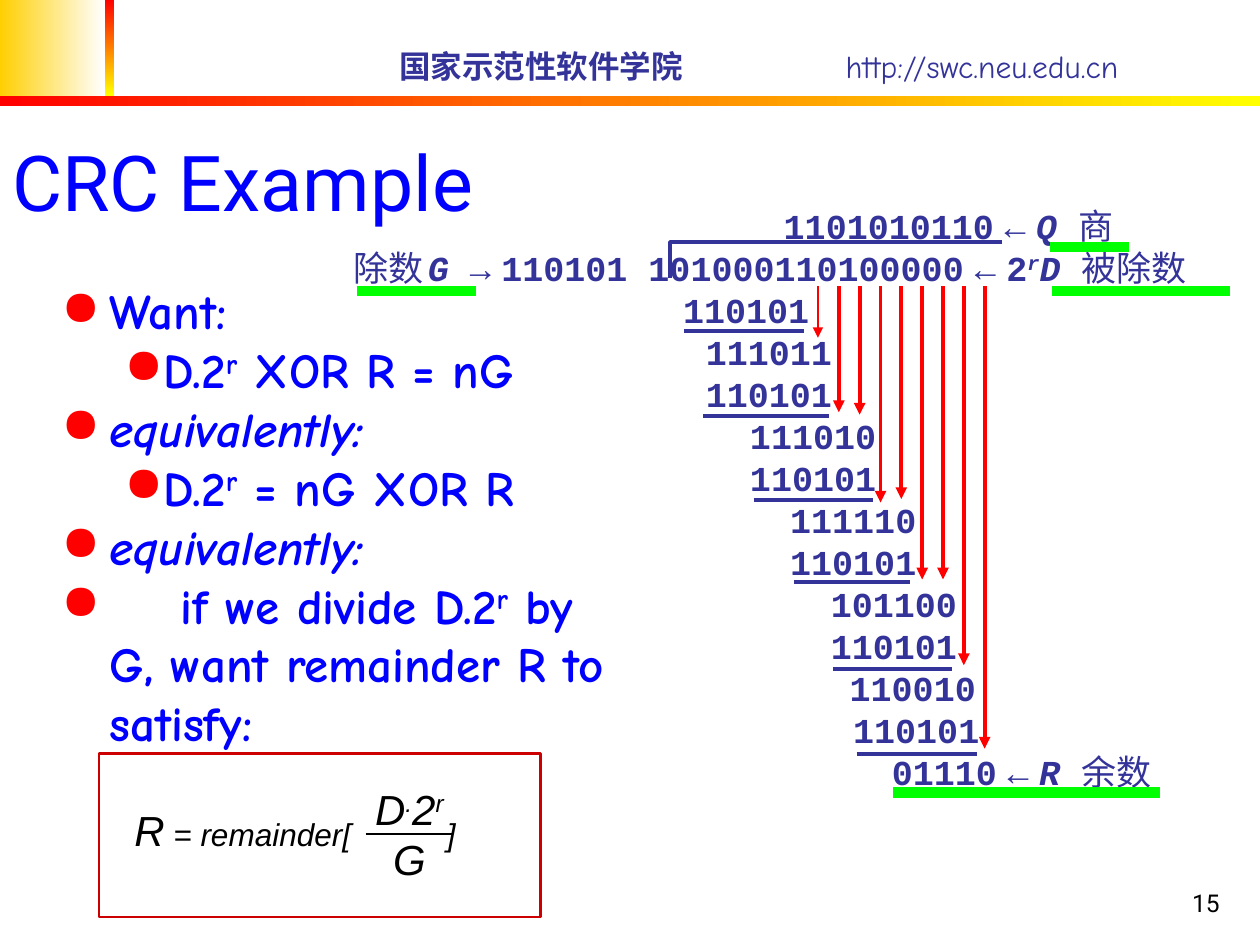
from lxml.etree import SubElement
from pptx import Presentation
from pptx.dml.color import RGBColor
from pptx.enum.shapes import MSO_CONNECTOR, MSO_SHAPE
from pptx.enum.text import MSO_ANCHOR, PP_ALIGN
from pptx.oxml.ns import qn
from pptx.util import Cm, Pt

NAVY, BLUE, RED, GREEN, BLACK = "333399", "0000FF", "FF0000", "00FF00", "000000"
YELLOW = "FFFF00"

DIVISION = [
    (8.87, [("1101010110", ""), (" ", "s"), ("←", ""), (" ", "s"), ("Q ", "i"), ("商", "n")]),
    (0.2, [("除数", "n"), (" ", "s"), ("G ", "i"), ("→", ""), (" ", "s"),
           ("110101 101000110100000", ""), (" ", "s"), ("←", ""), (" ", "s"),
           ("2", ""), ("r", "i^"), ("D ", "i"), ("被除数", "n")]),
    (6.84, [("110101", "")]),
    (7.3, [("111011", "")]),
    (7.3, [("110101", "")]),
    (8.19, [("111010", "")]),
    (8.19, [("110101", "")]),
    (9.0, [("111110", "")]),
    (9.0, [("110101", "")]),
    (9.82, [("101100", "")]),
    (9.82, [("110101", "")]),
    (10.2, [("110010", "")]),
    (10.27, [("110101", "")]),
    (11.05, [("01110", ""), (" ", "s"), ("←", ""), (" ", "s"), ("R ", "i"), ("余数", "n")]),
]
BULLETS = [
    (0, [("Want:", "")]),
    (1, [("D.2", ""), ("r", "^"), (" XOR R = nG", "")]),
    (0, [("equivalently:", "i")]),
    (1, [("D.2", ""), ("r", "^"), (" = nG XOR R", "")]),
    (0, [("equivalently:", "i")]),
    (0, [("\tif we divide D.2", ""), ("r", "^"),
         (" by G, want remainder R to satisfy:", "")]),
]
BRING_DOWN_ENDS = [6.81, 8.31, 8.36, 10.13, 10.06, 11.68, 11.68, 13.41, 15.09]
SUBTRACTION_RULES = [(13.79, 16.21, 6.68), (14.17, 16.71, 8.38), (15.19, 17.6, 10.08),
                     (16, 18.34, 11.73), (16.79, 19.2, 13.49), (17.27, 19.69, 15.2)]
HIGHLIGHTS = [(18.01, 23.39, 15.98), (21.21, 24.79, 5.87),
              (7.19, 9.6, 5.87), (21.16, 22.76, 4.98)]


def color(value):
    """Turn a hex string into a colour."""
    return RGBColor.from_string(value)


def add_box(page, left, top, width, height, anchor=MSO_ANCHOR.TOP):
    """Add a wrapping text box and return its text frame."""
    frame = page.shapes.add_textbox(Cm(left), Cm(top), Cm(width), Cm(height)).text_frame
    frame.word_wrap = True
    frame.vertical_anchor = anchor
    return frame


def next_paragraph(frame):
    """Return the first paragraph while it is empty, else a new one."""
    first = frame.paragraphs[0]
    return frame.add_paragraph() if first.runs else first


def write(paragraph, spans, name, size, value, bold=None, small=10):
    """Fill a paragraph; flags: i italic, n not bold, s small, ^ superscript."""
    font = paragraph.font
    font.name, font.size, font.bold = name, Pt(size), bold
    font.color.rgb = color(value)
    for text, flags in spans:
        span = paragraph.add_run()
        span.text = text
        if "i" in flags:
            span.font.italic = True
        if "n" in flags:
            span.font.bold = False
        if "s" in flags:
            span.font.size = Pt(small)
        if "^" in flags:
            span.font._element.set("baseline", "30000")


def set_indent(paragraph, margin, first=0):
    """Set the left margin and first-line indent."""
    properties = paragraph._p.get_or_add_pPr()
    properties.set("marL", str(Cm(margin)))
    properties.set("indent", str(Cm(first)))


def add_bullet(paragraph):
    """Give a paragraph a red round bullet."""
    properties = paragraph._p.get_or_add_pPr()
    bullet_color = SubElement(properties, qn("a:buClr"))
    SubElement(bullet_color, qn("a:srgbClr"), val=RED)
    SubElement(properties, qn("a:buChar"), char="●")


def add_tab(paragraph, position):
    """Add a left tab stop."""
    tabs = SubElement(paragraph._p.get_or_add_pPr(), qn("a:tabLst"))
    SubElement(tabs, qn("a:tab"), pos=str(Cm(position)), algn="l")


def add_line(page, start, end, value, width, arrow=False):
    """Draw a straight line, optionally with an arrowhead at its end."""
    line = page.shapes.add_connector(MSO_CONNECTOR.STRAIGHT, *map(Cm, start + end))
    line.line.color.rgb = color(value)
    line.line.width = Pt(width)
    if arrow:
        SubElement(line.line._get_or_add_ln(), qn("a:tailEnd"), type="triangle")
    SubElement(line._element.spPr, qn("a:effectLst"))


def add_gradient(page, left, top, width, height, stops, angle=0):
    """Add a borderless rectangle with a two-colour gradient."""
    bar = page.shapes.add_shape(MSO_SHAPE.RECTANGLE, Cm(left), Cm(top), Cm(width), Cm(height))
    bar.shadow.inherit = False
    bar.line.fill.background()
    bar.fill.gradient()
    bar.fill.gradient_angle = angle
    for stop, position, value in zip(bar.fill.gradient_stops, (0, 1), stops):
        stop.position = position
        stop.color.rgb = color(value)


def add_header(page):
    """Draw the banner, title and slide number."""
    add_gradient(page, 0, 0, 2.11, 1.93, ("FFCF01", "FFFFFF"))
    add_gradient(page, 2.11, 0, 0.2, 1.93, (RED, YELLOW), 270)
    add_gradient(page, 0, 1.93, 25.4, 0.2, (RED, YELLOW))
    school = add_box(page, 7.8, 0.81, 17.02, 1.02, MSO_ANCHOR.MIDDLE).paragraphs[0]
    add_tab(school, 9)
    write(school, [("国家示范性软件学院", ""), ("\thttp://swc.neu.edu.cn", "n")],
          "Comic Neue", 18, NAVY, True)
    title = add_box(page, 0, 1.5, 21.64, 3.2, MSO_ANCHOR.BOTTOM).paragraphs[0]
    write(title, [("CRC Example", "")], "Roboto", 44, BLUE)
    number = add_box(page, 19.56, 17.35, 5.28, 1.27, MSO_ANCHOR.BOTTOM).paragraphs[0]
    number.alignment = PP_ALIGN.RIGHT
    write(number, [("15", "")], "Roboto", 14, BLACK)


def add_division(page):
    """Draw the long division with its bracket, arrows and rules."""
    frame = add_box(page, 6.68, 3.99, 18.72, 12.12)
    for margin, spans in DIVISION:
        row = next_paragraph(frame)
        set_indent(row, margin)
        row.line_spacing = Pt(24)
        write(row, spans, "Courier New", 20, NAVY, True)
    builder = page.shapes.build_freeform(Cm(13.51), Cm(5.61))
    builder.add_line_segments([(Cm(13.51), Cm(4.88)), (Cm(20.19), Cm(4.88))], close=False)
    bracket = builder.convert_to_shape()
    bracket.shadow.inherit = False
    bracket.fill.background()
    bracket.line.color.rgb = color(NAVY)
    bracket.line.width = Pt(2.25)
    for index, end in enumerate(BRING_DOWN_ENDS):
        x = 16.49 + 0.42 * index
        add_line(page, (x, 5.77), (x, end), RED, 2.25 if index else 1.5, True)
    for rules, value, width in ((SUBTRACTION_RULES, NAVY, 2.25), (HIGHLIGHTS, GREEN, 6)):
        for left, right, y in rules:
            add_line(page, (left, y), (right, y), value, width)


def add_bullets(page):
    """Write the bulleted argument."""
    frame = add_box(page, 0.99, 5.54, 11.94, 12.7)
    for level, spans in BULLETS:
        item = next_paragraph(frame)
        item.level = level
        set_indent(item, *((2.06, -0.79) if level else (0.97, -0.97)))
        add_bullet(item)
        if spans[0][0].startswith("\t"):
            add_tab(item, 2.4)
        write(item, spans, "Comic Neue", 28, BLUE, True)


def add_formula(page):
    """Write the framed remainder formula."""
    left_side = add_box(page, 2.46, 16.1, 10.46, 1.27).paragraphs[0]
    add_tab(left_side, 6.3)
    write(left_side, [("R", "i"), (" = remainder[\t]", "is")], "Arial", 24, BLACK, small=18)
    fraction = add_box(page, 6.4, 15.67, 3.71, 2.29)
    for spans in ([("D", "i"), (".", "i^"), ("2", "i"), ("r", "i^")], [("G", "i")]):
        part = next_paragraph(fraction)
        part.alignment = PP_ALIGN.CENTER
        write(part, spans, "Arial", 24, BLACK)
    add_line(page, (7.37, 16.81), (9.12, 16.81), BLACK, 1.5)
    border = page.shapes.add_shape(MSO_SHAPE.RECTANGLE, Cm(2), Cm(15.19), Cm(8.9), Cm(3.3))
    border.shadow.inherit = False
    border.fill.background()
    border.line.color.rgb = color("CC0000")
    border.line.width = Pt(1.5)


def main():
    """Build the slide and save the deck."""
    deck = Presentation()
    deck.slide_width, deck.slide_height = Cm(25.4), Cm(19.05)
    page = deck.slides.add_slide(deck.slide_layouts[6])
    add_header(page)
    add_division(page)
    add_bullets(page)
    add_formula(page)
    deck.save("out.pptx")


if __name__ == "__main__":
    main()
